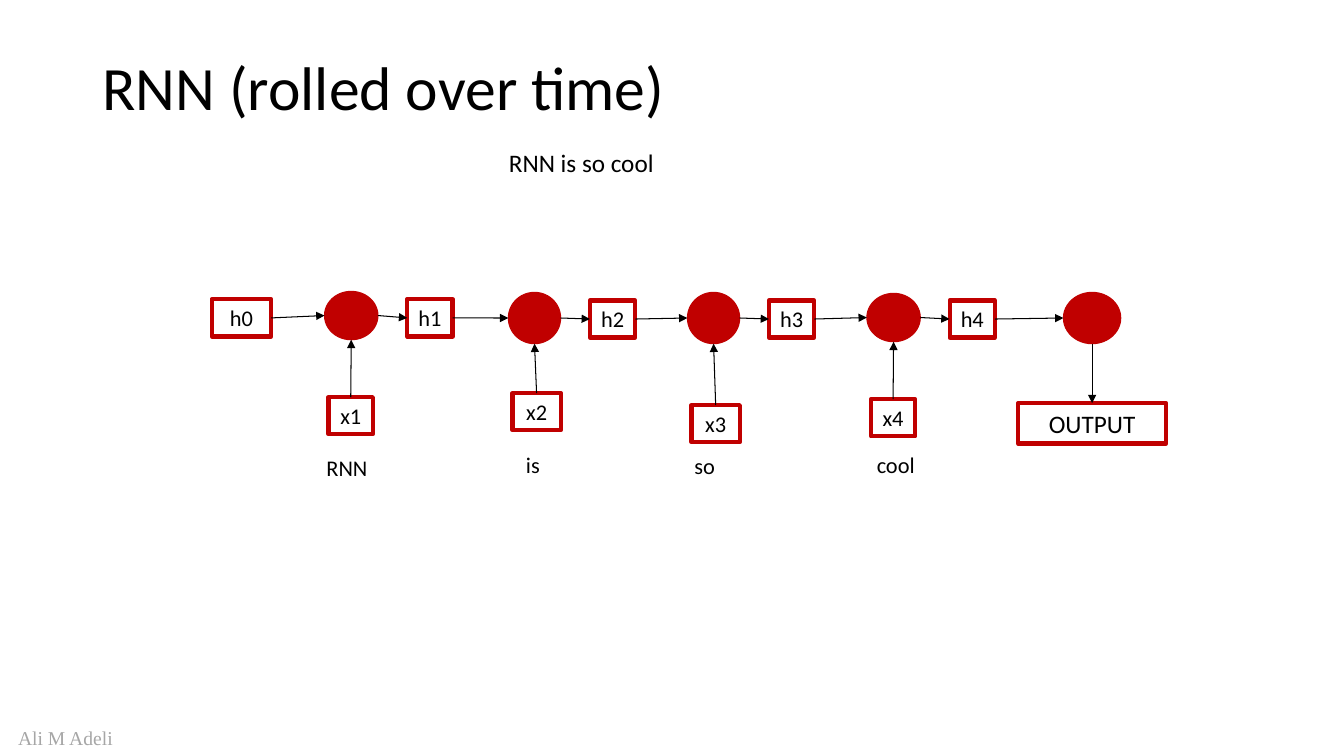
from dataclasses import dataclass

import pptx
import pptx.dml.color
import pptx.enum.shapes
import pptx.enum.text
import pptx.oxml
import pptx.oxml.ns
import pptx.util
from pptx.util import Pt

BLACK = pptx.dml.color.RGBColor(0x00, 0x00, 0x00)
WHITE = pptx.dml.color.RGBColor(0xFF, 0xFF, 0xFF)
RED = pptx.dml.color.RGBColor(0xC0, 0x00, 0x00)
GREY = pptx.dml.color.RGBColor(0xA6, 0xA6, 0xA6)

SHAPES = pptx.enum.shapes.MSO_SHAPE
ALIGN = pptx.enum.text.PP_ALIGN
AUTO_SIZE = pptx.enum.text.MSO_AUTO_SIZE

BOX_HEIGHT = 26.6
STATE_WIDTH = 32.4
STATE_GAP = 20.9    # from a cell to the state it produces
INPUT_INSET = 2.9   # from a cell's left edge to its input's
TOP, LEFT, RIGHT = 0, 1, 3


@dataclass(frozen=True)
class Area:
    left: float
    top: float
    width: float
    height: float

    @property
    def right(self) -> float:
        return self.left + self.width

    @property
    def bottom(self) -> float:
        return self.top + self.height

    @property
    def center(self) -> float:
        return self.left + self.width / 2

    @property
    def middle(self) -> float:
        return self.top + self.height / 2

    def lengths(self) -> tuple:
        return Pt(self.left), Pt(self.top), Pt(self.width), Pt(self.height)


@dataclass(frozen=True)
class TimeStep:
    word: str
    word_area: Area
    cell: Area
    input_top: float
    input_width: float
    state_top: float


TIME_STEPS = [
    TimeStep("RNN", Area(226.1, 321.1, 59, BOX_HEIGHT),
             Area(231.8, 208.1, 38.2, 34.6), 283.7, 31.7, 213.8),
    TimeStep("is", Area(368.6, 319, 64, BOX_HEIGHT),
             Area(363.1, 208.8, 37.4, 36.7), 280.8, 34.6, 214.6),
    TimeStep("so", Area(488.9, 319.7, 45.4, BOX_HEIGHT),
             Area(491, 208.8, 37.4, 36.7), 289.4, 34.6, 214.6),
    TimeStep("cool", Area(619.2, 319, 45.4, BOX_HEIGHT),
             Area(619.2, 209.5, 38.2, 34.6), 285.1, 31.7, 214.6),
]
LAST_CELL = Area(759.6, 208.8, 41, 36.7)


def set_text(frame, text: str, size: float, color=BLACK,
             font_name: str = "Calibri", align=ALIGN.LEFT) -> None:
    frame.text = text
    paragraph = frame.paragraphs[0]
    paragraph.alignment = align
    font = paragraph.runs[0].font
    font.size, font.name = Pt(size), font_name
    font.color.rgb = color


def add_label(slide, area: Area, text: str, size: float, color=BLACK,
              font_name: str = "Calibri", wrap: bool = True) -> None:
    frame = slide.shapes.add_textbox(*area.lengths()).text_frame
    frame.word_wrap = wrap
    frame.auto_size = AUTO_SIZE.SHAPE_TO_FIT_TEXT
    set_text(frame, text, size, color, font_name)


def add_outlined(slide, preset, area: Area, fill, line_width: float):
    shape = slide.shapes.add_shape(preset, *area.lengths())
    shape.shadow.inherit = False
    shape.fill.solid()
    shape.fill.fore_color.rgb = fill
    shape.line.color.rgb = RED
    shape.line.width = Pt(line_width)
    return shape


def add_box(slide, area: Area, text: str, size: float = 16):
    box = add_outlined(slide, SHAPES.RECTANGLE, area, WHITE, 3)
    set_text(box.text_frame, text, size, align=ALIGN.CENTER)
    return box


def add_cell(slide, area: Area) -> None:
    add_outlined(slide, SHAPES.OVAL, area, RED, 0.75)


def add_arrow(slide, start: tuple, end: tuple):
    """An end is a point (x, y) or a box with one of its sides."""
    points = [(0, 0) if hasattr(first, "text_frame") else (first, second)
              for first, second in (start, end)]
    arrow = slide.shapes.add_connector(
        pptx.enum.shapes.MSO_CONNECTOR.STRAIGHT,
        *(Pt(value) for point in points for value in point))
    if hasattr(start[0], "text_frame"):
        arrow.begin_connect(*start)
    if hasattr(end[0], "text_frame"):
        arrow.end_connect(*end)
    arrow.line.color.rgb = BLACK
    arrow.line.width = Pt(0.75)
    line = arrow.line._get_or_add_ln()
    head = pptx.oxml.parse_xml(
        f'<a:tailEnd {pptx.oxml.ns.nsdecls("a")} type="triangle"/>')
    line.append(head)
    line.addnext(pptx.oxml.parse_xml(
        f'<a:effectLst {pptx.oxml.ns.nsdecls("a")}/>'))


def add_time_step(slide, number: int, step: TimeStep, previous_state):
    """Draw one step and return the box of its hidden state."""
    cell = step.cell
    add_cell(slide, cell)
    input_box = add_box(slide, Area(cell.left + INPUT_INSET, step.input_top,
                                    step.input_width, BOX_HEIGHT), f"x{number}")
    state_box = add_box(slide, Area(cell.right + STATE_GAP, step.state_top,
                                    STATE_WIDTH, BOX_HEIGHT), f"h{number}")
    add_arrow(slide, (previous_state, RIGHT), (cell.left, cell.middle))
    add_arrow(slide, (input_box, TOP), (cell.center, cell.bottom))
    add_arrow(slide, (cell.right, cell.middle), (state_box, LEFT))
    add_label(slide, step.word_area, step.word, 16)
    return state_box


def main() -> None:
    presentation = pptx.Presentation()
    presentation.slide_width, presentation.slide_height = Pt(960), Pt(540)
    slide = presentation.slides.add_slide(presentation.slide_layouts[5])

    # Title, example sentence and author
    title = slide.shapes.title
    title.left, title.top, title.width, title.height = Area(66, 28.8, 828, 72).lengths()
    title.text_frame.auto_size = AUTO_SIZE.NONE
    title.text_frame.vertical_anchor = pptx.enum.text.MSO_ANCHOR.MIDDLE
    set_text(title.text_frame, "RNN (rolled over time)", 44)
    title.text_frame.paragraphs[0].line_spacing = 0.9
    add_label(slide, Area(356.4, 101.5, 118.8, 28.8), "RNN is so cool", 18, wrap=False)
    add_label(slide, Area(5.8, 514.8, 105.8, 24.5), "Ali M Adeli", 14,
              GREY, "Times New Roman")

    # Unrolled network
    state = add_box(slide, Area(151.2, 213.8, 42.5, BOX_HEIGHT), "h0")
    for number, step in enumerate(TIME_STEPS, start=1):
        state = add_time_step(slide, number, step, state)

    # Output
    add_cell(slide, LAST_CELL)
    output = add_box(slide, Area(727.2, 288, 105.8, 28.8), "OUTPUT", 18)
    add_arrow(slide, (state, RIGHT), (LAST_CELL.left, LAST_CELL.middle))
    add_arrow(slide, (LAST_CELL.center, LAST_CELL.bottom), (output, TOP))

    presentation.save("out.pptx")


if __name__ == "__main__":
    main()
